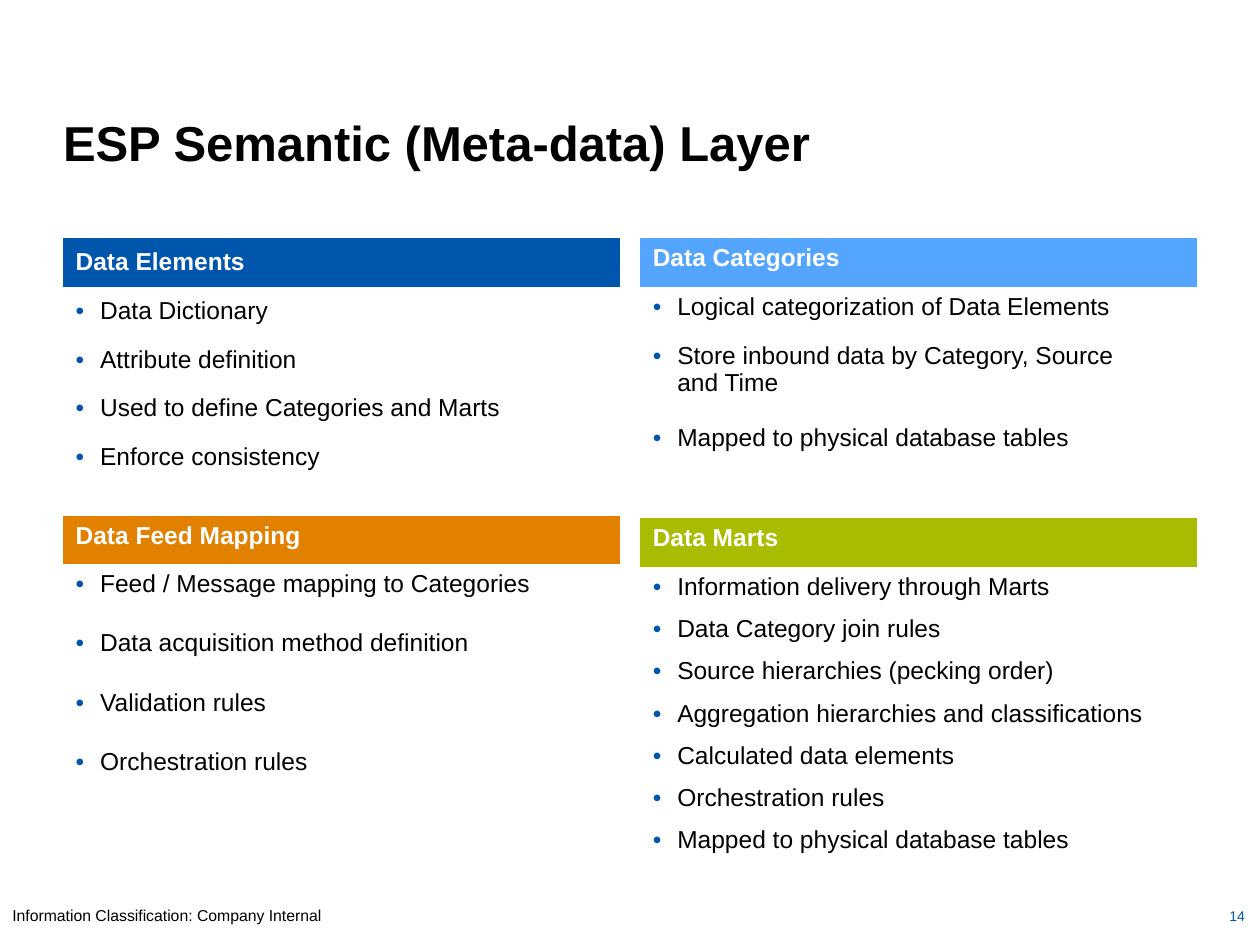
from lxml import etree
from pptx import Presentation
from pptx import util as u
from pptx.dml import color
from pptx.enum import text
from pptx.oxml import ns

Pt = u.Pt
COLOURS = {
    "blue": "0055AD", "sky": "53A5FF", "orange": "E28100",
    "green": "AABC00", "white": "FFFFFF", "black": "000000",
}
NO_STYLE = "{2D5ABB26-0587-4C30-8999-92F81FD0307C}"
TITLE = {"size": 28, "bold": True, "colour": "black"}
HEADING = {"size": 14, "bold": True, "colour": "white"}
ITEM = {"size": 14, "bold": False, "colour": "black"}
FOOTER = {"size": 9, "bold": False, "colour": "black"}
NUMBER = {"size": 8, "bold": False, "colour": "blue"}
PANEL_WIDTH = 318.2
LEFT, RIGHT = 36, 365.8

PANELS = [
    {"box": (LEFT, 136), "colour": "blue", "heading": "Data Elements",
     "anchor": text.MSO_ANCHOR.MIDDLE, "heights": [28] + [27.75] * 4,
     "items": ["Data Dictionary", "Attribute definition",
               "Used to define Categories and Marts", "Enforce consistency"]},
    {"box": (RIGHT, 136), "colour": "sky", "heading": "Data Categories",
     "anchor": text.MSO_ANCHOR.TOP, "heights": [28, 27.75, 47, 27.75, 27.75],
     "items": ["Logical categorization of Data Elements",
               "Store inbound data by Category, Source\vand Time",
               "Mapped to physical database tables", ""]},
    {"box": (LEFT, 295), "colour": "orange", "heading": "Data Feed Mapping",
     "anchor": text.MSO_ANCHOR.TOP, "heights": [27.25] + [33.9] * 5,
     "items": ["Feed / Message mapping to Categories",
               "Data acquisition method definition",
               "Validation rules", "Orchestration rules", ""]},
    {"box": (RIGHT, 296), "colour": "green", "heading": "Data Marts",
     "anchor": text.MSO_ANCHOR.TOP, "heights": [28] + [24.1] * 7,
     "items": ["Information delivery through Marts", "Data Category join rules",
               "Source hierarchies (pecking order)",
               "Aggregation hierarchies and classifications",
               "Calculated data elements", "Orchestration rules",
               "Mapped to physical database tables"]},
]


def rgb(name):
    """Return the named colour."""
    return color.RGBColor.from_string(COLOURS[name])


def write(frame, words, style, align=text.PP_ALIGN.LEFT):
    """Fill a text frame with one styled paragraph and return it."""
    paragraph = frame.paragraphs[0]
    paragraph.text = words
    paragraph.alignment = align
    values = {"name": "Arial", "size": Pt(style["size"]), "bold": style["bold"]}
    for run in paragraph.runs:
        for key, value in values.items():
            setattr(run.font, key, value)
        run.font.color.rgb = rgb(style["colour"])
    return paragraph


def add_bullet(paragraph):
    """Give a paragraph a blue hanging bullet."""
    properties = paragraph._p.get_or_add_pPr()
    properties.set("marL", str(Pt(14)))
    properties.set("indent", str(-Pt(14)))
    tint = etree.SubElement(properties, ns.qn("a:buClr"))
    etree.SubElement(tint, ns.qn("a:srgbClr"), val=COLOURS["blue"])
    etree.SubElement(properties, ns.qn("a:buFont"), typeface="Arial")
    etree.SubElement(properties, ns.qn("a:buChar"), char="•")


def add_title(slide, words, box):
    """Place and format the title placeholder."""
    title = slide.shapes.title
    for key, value in zip(("left", "top", "width", "height"), box):
        setattr(title, key, Pt(value))
    frame = title.text_frame
    settings = {"margin_left": 0, "margin_top": 0, "margin_right": 0,
                "margin_bottom": 0, "word_wrap": True,
                "vertical_anchor": text.MSO_ANCHOR.TOP,
                "auto_size": text.MSO_AUTO_SIZE.NONE}
    for key, value in settings.items():
        setattr(frame, key, value)
    write(frame, words, TITLE)


def add_panel(slide, panel):
    """Place a one-column table with a coloured heading and bulleted rows."""
    left, top = panel["box"]
    heights = panel["heights"]
    table = slide.shapes.add_table(
        len(heights), 1, Pt(left), Pt(top), Pt(PANEL_WIDTH), Pt(sum(heights))).table
    table.first_row = table.horz_banding = False
    table._tbl.tblPr.find(ns.qn("a:tableStyleId")).text = NO_STYLE
    for index, (height, words) in enumerate(
            zip(heights, [panel["heading"]] + panel["items"])):
        table.rows[index].height = Pt(height)
        cell = table.cell(index, 0)
        cell.vertical_anchor = panel["anchor"]
        if index == 0:
            cell.fill.solid()
            cell.fill.fore_color.rgb = rgb(panel["colour"])
            write(cell.text_frame, words, HEADING)
        else:
            cell.fill.background()
            if words:
                add_bullet(write(cell.text_frame, words, ITEM))


def add_footer_text(slide, words, box, style, align=text.PP_ALIGN.LEFT):
    """Place one line of footer text."""
    footer = slide.shapes.add_textbox(*map(Pt, box))
    footer.text_frame.word_wrap = True
    write(footer.text_frame, words, style, align)


def main():
    """Build and save the slide."""
    deck = Presentation()
    deck.slide_width, deck.slide_height = Pt(720), Pt(540)
    slide = deck.slides.add_slide(deck.slide_layouts[5])
    add_title(slide, "ESP Semantic (Meta-data) Layer", (36, 64, 453, 34))
    for panel in PANELS:
        add_panel(slide, panel)
    add_footer_text(slide, "14", (551, 515, 167.5, 18), NUMBER, text.PP_ALIGN.RIGHT)
    add_footer_text(slide, "Information Classification: Company Internal",
                    (0, 514, 720, 18), FOOTER)
    deck.save("out.pptx")


if __name__ == "__main__":
    main()
